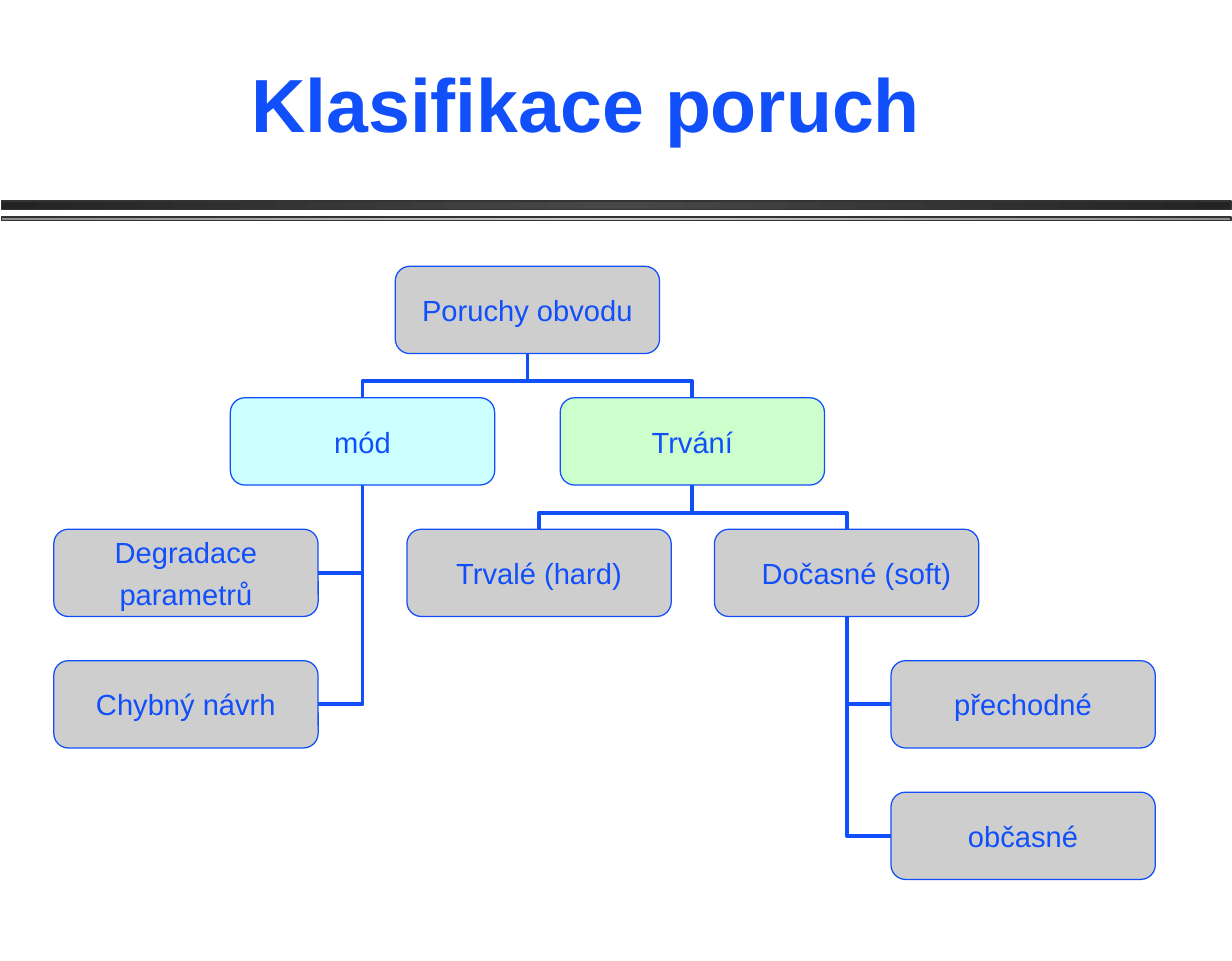
"""Build a slide with a tree that classifies circuit faults."""
from copy import deepcopy
from dataclasses import dataclass

from lxml import etree
from pptx import Presentation
from pptx import util as u
from pptx.dml.color import RGBColor
from pptx.enum import shapes, text
from pptx.oxml.ns import qn


@dataclass(frozen=True)
class Theme:
    """Colours, font and type sizes of the slide."""
    blue: str = "114FFB"
    grey: str = "CECECE"
    cyan: str = "CCFFFF"
    green: str = "CCFFCC"
    rule_edge: str = "333333"
    dark_rule: tuple = ("232323", "474747")
    light_rule: tuple = ("8F8F8F", "CECECE")
    font: str = "Arial"
    title_size: int = 44
    node_size: int = 17


THEME = Theme()
NODE_WIDTH, NODE_HEIGHT = 5.45, 1.8
TREE_TOP, ROW_PITCH = 5.49, 2.71
ELBOW_BEND = 0.375
BULLET_ROOM = 0.41


@dataclass(frozen=True)
class Node:
    """One box of the tree, placed by its row and left edge in cm."""
    label: str
    row: int
    left: float
    fill: str = THEME.grey
    inset: float = 0

    @property
    def top(self):
        """Return the upper edge."""
        return TREE_TOP + self.row * ROW_PITCH

    @property
    def bottom(self):
        """Return the lower edge."""
        return self.top + NODE_HEIGHT

    @property
    def center(self):
        """Return the horizontal centre."""
        return self.left + NODE_WIDTH / 2

    @property
    def middle(self):
        """Return the vertical centre."""
        return self.top + NODE_HEIGHT / 2


FAULTS = Node("Poruchy obvodu", 0, 8.15)
MODE = Node("mód", 1, 4.75, THEME.cyan)
DURATION = Node("Trvání", 1, 11.55, THEME.green)
DEGRADATION = Node("Degradace\nparametrů", 2, 1.11)
BAD_DESIGN = Node("Chybný návrh", 3, 1.11)
PERMANENT = Node("Trvalé (hard)", 2, 8.39)
TEMPORARY = Node("Dočasné (soft)", 2, 14.73, inset=BULLET_ROOM)
TRANSIENT = Node("přechodné", 3, 18.37)
INTERMITTENT = Node("občasné", 4, 18.37)

NODES = (FAULTS, MODE, DURATION, DEGRADATION, BAD_DESIGN,
         PERMANENT, TEMPORARY, TRANSIENT, INTERMITTENT)
FORKS = ((FAULTS, MODE), (FAULTS, DURATION),
         (DURATION, PERMANENT), (DURATION, TEMPORARY))
HANGERS = ((MODE, DEGRADATION), (MODE, BAD_DESIGN),
           (TEMPORARY, TRANSIENT), (TEMPORARY, INTERMITTENT))


def set_font(paragraph, size, bold=False):
    """Apply the theme font to a centred paragraph."""
    paragraph.alignment = text.PP_ALIGN.CENTER
    font = paragraph.font
    font.name, font.size, font.bold = THEME.font, u.Pt(size), bold
    font.color.rgb = RGBColor.from_string(THEME.blue)


def add_title(slide, wording):
    """Fill and place the title placeholder."""
    title = slide.shapes.title
    title.left, title.top = u.Cm(0.91), u.Cm(1.09)
    title.width, title.height = u.Cm(22.35), u.Cm(2.08)
    frame = title.text_frame
    frame.text = wording
    frame.auto_size = text.MSO_AUTO_SIZE.NONE
    frame.vertical_anchor = text.MSO_ANCHOR.BOTTOM
    set_font(frame.paragraphs[0], THEME.title_size, bold=True)


def add_rule(slide, top, height, colours):
    """Draw a full-width bar that shades from its edges to its centre."""
    edge, core = colours
    rule = slide.shapes.add_shape(shapes.MSO_SHAPE.RECTANGLE, u.Cm(0.03),
                                  u.Cm(top), u.Cm(25.35), u.Cm(height))
    rule.shadow.inherit = False
    rule.fill.gradient()
    rule.fill.gradient_angle = 0
    for stop in rule.fill.gradient_stops:
        stop.color.rgb = RGBColor.from_string(edge)
    stop_list = rule._element.spPr.find(".//" + qn("a:gsLst"))
    stop_list.insert(1, deepcopy(stop_list[0]))
    center_stop = rule.fill.gradient_stops[1]
    center_stop.position = 0.5
    center_stop.color.rgb = RGBColor.from_string(core)
    rule.line.color.rgb = RGBColor.from_string(THEME.rule_edge)
    rule.line.width = u.Pt(1)


def add_elbow(tree, left, top, width, height, preset, **turns):
    """Draw an elbow connector in a box that is turned or flipped."""
    elbow = tree.shapes.add_connector(
        shapes.MSO_CONNECTOR.ELBOW, u.Cm(left), u.Cm(top),
        u.Cm(left + width), u.Cm(top + height))
    elbow.line.color.rgb = RGBColor.from_string(THEME.blue)
    elbow.line.width = u.Pt(2.25)
    properties = elbow._element.spPr
    etree.SubElement(properties, qn("a:effectLst"))
    for name, value in turns.items():
        properties.find(qn("a:xfrm")).set(name, str(value))
    geometry = properties.find(qn("a:prstGeom"))
    geometry.set("prst", preset)
    if preset == "bentConnector3":
        guides = geometry.find(qn("a:avLst"))
        etree.SubElement(guides, qn("a:gd"), name="adj1",
                         fmla=f"val {ELBOW_BEND * 100000:.0f}")


def add_fork(tree, parent, child):
    """Join the top of a child to the bottom of its parent."""
    gap = child.top - parent.bottom
    span = abs(child.center - parent.center)
    left = (child.center + parent.center - gap) / 2
    top = (child.top + parent.bottom - span) / 2
    if child.center > parent.center:
        turns = {"rot": 270 * 60000, "flipV": 1}
    else:
        turns = {"rot": 90 * 60000, "flipH": 1, "flipV": 1}
    add_elbow(tree, left, top, gap, span, "bentConnector3", **turns)


def add_hanger(tree, parent, child):
    """Join the side of a child to the bottom of its parent."""
    drop = child.middle - parent.bottom
    if child.center > parent.center:
        start, end = parent.center, child.left
        turns = {"rot": 180 * 60000}
    else:
        start, end = child.left + NODE_WIDTH, parent.center
        turns = {"flipV": 1}
    add_elbow(tree, start, parent.bottom, end - start, drop,
              "bentConnector2", **turns)


def add_node(tree, node):
    """Draw one labelled box of the tree."""
    box = tree.shapes.add_shape(
        shapes.MSO_SHAPE.ROUNDED_RECTANGLE, u.Cm(node.left), u.Cm(node.top),
        u.Cm(NODE_WIDTH), u.Cm(NODE_HEIGHT))
    box.shadow.inherit = False
    box.fill.solid()
    box.fill.fore_color.rgb = RGBColor.from_string(node.fill)
    box.line.color.rgb = RGBColor.from_string(THEME.blue)
    box.line.width = u.Pt(0.75)
    frame = box.text_frame
    frame.text = node.label
    frame.word_wrap = False
    frame.vertical_anchor = text.MSO_ANCHOR.MIDDLE
    frame.margin_left = u.Cm(node.inset)
    frame.margin_right = frame.margin_top = frame.margin_bottom = 0
    for index, paragraph in enumerate(frame.paragraphs):
        set_font(paragraph, THEME.node_size)
        paragraph.space_before = u.Pt(4.2 if index else 0)


def main():
    """Build and save the slide."""
    deck = Presentation()
    deck.slide_width, deck.slide_height = u.Cm(25.4), u.Cm(19.81)
    slide = deck.slides.add_slide(deck.slide_layouts[5])
    add_title(slide, "Klasifikace poruch")
    add_rule(slide, 4.14, 0.18, THEME.dark_rule)
    add_rule(slide, 4.47, 0.08, THEME.light_rule)
    tree = slide.shapes.add_group_shape()
    for parent, child in HANGERS:
        add_hanger(tree, parent, child)
    for parent, child in FORKS:
        add_fork(tree, parent, child)
    for node in NODES:
        add_node(tree, node)
    deck.save("out.pptx")


if __name__ == "__main__":
    main()
